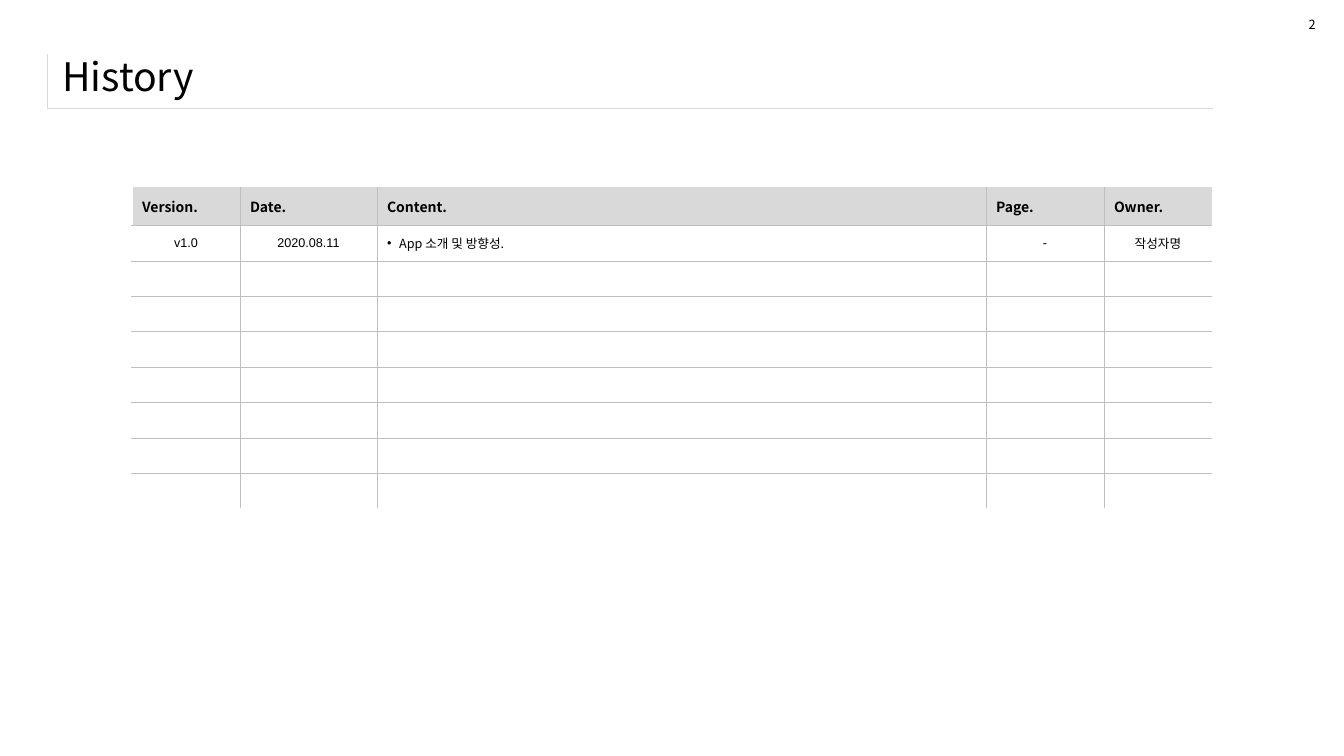
import lxml.etree
import pptx
import pptx.dml.color
import pptx.enum.text
import pptx.oxml.ns
import pptx.util

BLACK = pptx.dml.color.RGBColor(0x00, 0x00, 0x00)
WHITE = pptx.dml.color.RGBColor(0xFF, 0xFF, 0xFF)
LIGHT_GRAY = pptx.dml.color.RGBColor(0xD9, 0xD9, 0xD9)
RULE_GRAY = pptx.dml.color.RGBColor(0xBF, 0xBF, 0xBF)
KOREAN_FONT = "Noto Sans CJK KR"
LATIN_FONT = "Arial"
CENTER = pptx.enum.text.PP_ALIGN.CENTER
MIDDLE = pptx.enum.text.MSO_ANCHOR.MIDDLE

WIDTH = pptx.util.Inches(13.33)
HEIGHT = pptx.util.Inches(7.5)
UNIT = HEIGHT / 90

TITLE_FRAME = (5.64, 6.48, 138.72, 6.36)
TITLE_BOX = (6.24, 5.28, 149.88, 7.56)
HISTORY_BOX = (15.72, 22.32, 128.52, 38.26)
NUMBER_BOX = (154.56, 1.44, 3.24, 3)
COLUMN_WIDTHS = (12.84, 16.32, 72.48, 14.04, 12.84)
HEADER_HEIGHT = 4.5
ENTRY_COUNT = 8

HEADINGS = ("Version.", "Date.", "Content.", "Page.", "Owner.")
ENTRY = (
    ("v1.0", LATIN_FONT),
    ("2020.08.11", LATIN_FONT),
    ("App 소개 및 방향성.", KOREAN_FONT),
    ("-", LATIN_FONT),
    ("작성자명", KOREAN_FONT),
)
CONTENT_COLUMN = 2
HAIRLINE = (RULE_GRAY, 0.25)
WHITE_LINE = (WHITE, 1)


def grid(units):
    """Turn a number of grid units into a length."""
    return pptx.util.Emu(round(units * UNIT))


def add_element(parent, tag, **attributes):
    """Append a drawing element and return it."""
    return lxml.etree.SubElement(parent, pptx.oxml.ns.qn(tag), **attributes)


def write(para, text, size, font=KOREAN_FONT, bold=False):
    """Add one styled run to a paragraph."""
    span = para.add_run()
    span.text = text
    span.font.size = pptx.util.Pt(size)
    span.font.bold = bold
    span.font.name = font
    span.font.color.rgb = BLACK
    add_element(span.font._element, "a:ea", typeface=font)


def add_bullet(para):
    """Give a paragraph a bullet with a hanging indent."""
    indent = pptx.util.Inches(0.12)
    properties = para._p.get_or_add_pPr()
    properties.set("marL", str(indent))
    properties.set("indent", str(-indent))
    add_element(properties, "a:buFont", typeface=LATIN_FONT)
    add_element(properties, "a:buChar", char="•")


def style_cell(cell, fill=None, **borders):
    """Set the borders, fill, anchor and margins of a cell."""
    properties = cell._tc.get_or_add_tcPr()
    for side in "LRTB":
        border = borders.get(side)
        if border:
            color, points = border
            line = add_element(properties, f"a:ln{side}", w=str(pptx.util.Pt(points)))
            solid = add_element(line, "a:solidFill")
            add_element(solid, "a:srgbClr", val=str(color))
        else:
            line = add_element(properties, f"a:ln{side}", w="0")
            add_element(line, "a:noFill")
    if fill is None:
        cell.fill.background()
    else:
        cell.fill.solid()
        cell.fill.fore_color.rgb = fill
    cell.vertical_anchor = MIDDLE
    cell.margin_top = cell.margin_bottom = 0


def add_plain_table(page, box, row_count, column_count):
    """Add a table without header or band styling."""
    table = page.shapes.add_table(row_count, column_count, *map(grid, box)).table
    table.first_row = table.horz_banding = False
    return table


def add_title(page, frame, box):
    """Draw the ruled frame and the title inside it."""
    table = add_plain_table(page, frame, 1, 1)
    rule = (LIGHT_GRAY, 0.25)
    style_cell(table.cell(0, 0), L=rule, B=rule)
    text_frame = page.shapes.add_textbox(*map(grid, box)).text_frame
    text_frame.word_wrap = True
    text_frame.vertical_anchor = MIDDLE
    write(text_frame.paragraphs[0], "History", 28)


def add_history(page, box):
    """Draw the version history table with its empty entries."""
    last_column = len(COLUMN_WIDTHS) - 1
    table = add_plain_table(page, box, ENTRY_COUNT + 1, len(COLUMN_WIDTHS))
    for column, width in zip(table.columns, COLUMN_WIDTHS):
        column.width = grid(width)
    entry_height = (box[3] - HEADER_HEIGHT) / ENTRY_COUNT
    for row_index, row in enumerate(table.rows):
        row.height = grid(entry_height if row_index else HEADER_HEIGHT)
        for column_index, cell in enumerate(row.cells):
            style_cell(
                cell,
                fill=None if row_index else LIGHT_GRAY,
                L=HAIRLINE if column_index else WHITE_LINE,
                R=HAIRLINE if column_index < last_column else None,
                T=HAIRLINE if row_index else None,
                B=HAIRLINE if row_index < ENTRY_COUNT else WHITE_LINE,
            )
    for column_index, heading in enumerate(HEADINGS):
        write(table.cell(0, column_index).text_frame.paragraphs[0], heading, 10, bold=True)
    for column_index, (text, font) in enumerate(ENTRY):
        para = table.cell(1, column_index).text_frame.paragraphs[0]
        if column_index == CONTENT_COLUMN:
            add_bullet(para)
        else:
            para.alignment = CENTER
        write(para, text, 9, font)


def add_page_number(page, box):
    """Write the page number in the top corner."""
    text_frame = page.shapes.add_textbox(*map(grid, box)).text_frame
    text_frame.word_wrap = False
    text_frame.auto_size = pptx.enum.text.MSO_AUTO_SIZE.SHAPE_TO_FIT_TEXT
    write(text_frame.paragraphs[0], "2", 9)


def main():
    """Build the history slide and save it."""
    deck = pptx.Presentation()
    deck.slide_width, deck.slide_height = WIDTH, HEIGHT
    page = deck.slides.add_slide(deck.slide_layouts[6])
    add_title(page, TITLE_FRAME, TITLE_BOX)
    add_history(page, HISTORY_BOX)
    add_page_number(page, NUMBER_BOX)
    deck.save("out.pptx")


if __name__ == "__main__":
    main()
